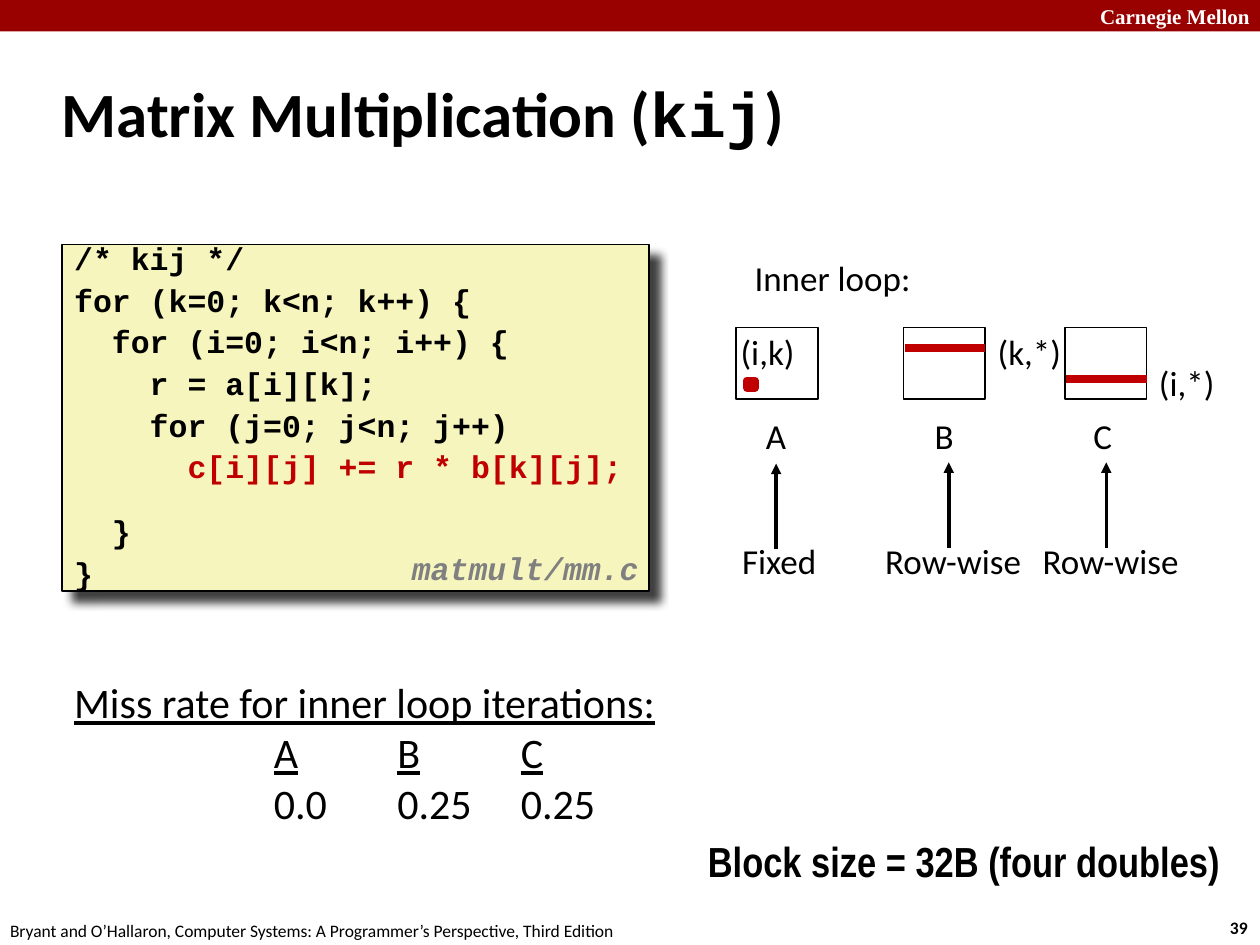
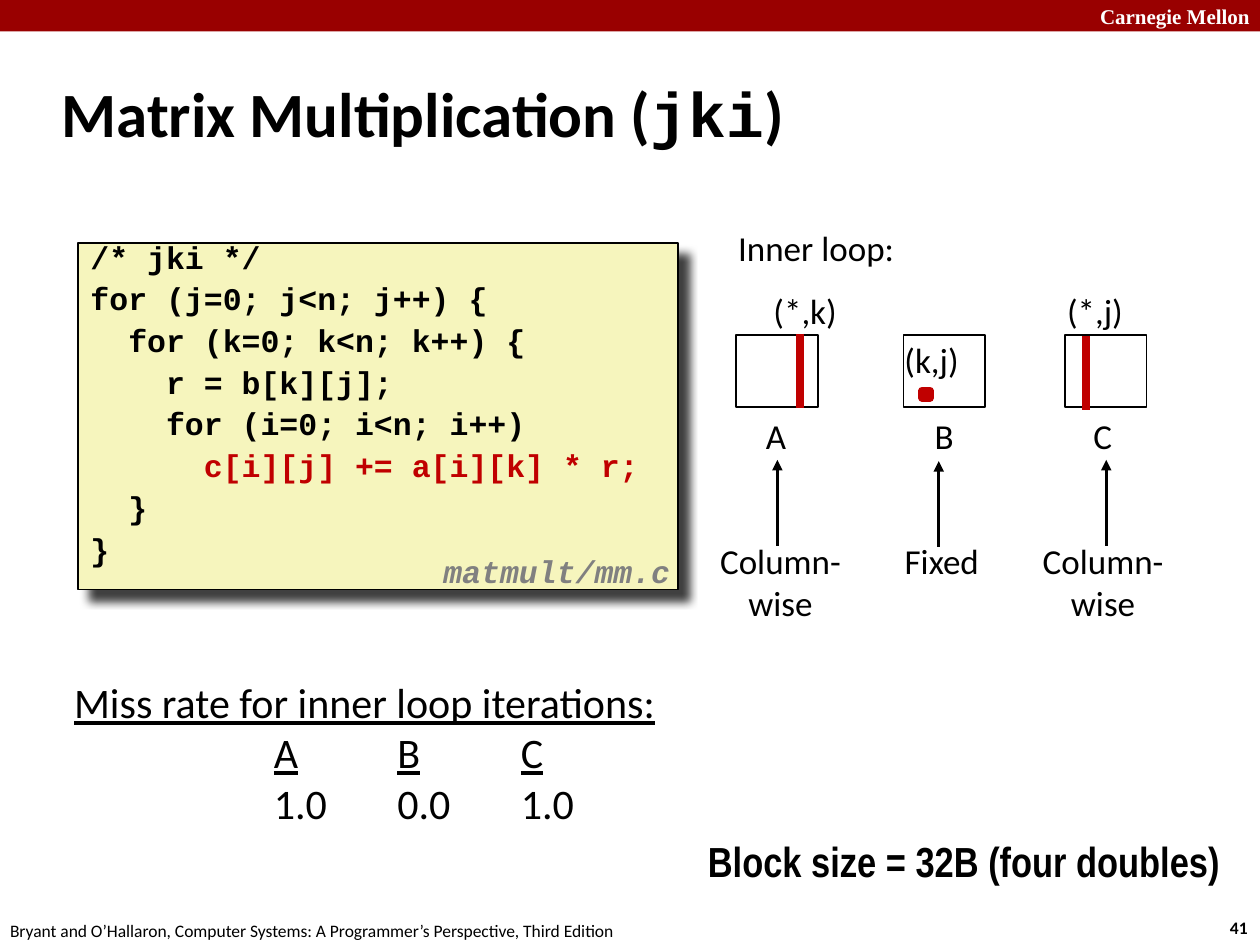
from dataclasses import dataclass, replace
from typing import NamedTuple

from lxml.etree import SubElement
from pptx import Presentation
from pptx.dml.color import RGBColor as Rgb
from pptx.enum.shapes import MSO_CONNECTOR as Wire, MSO_SHAPE as Form
from pptx.enum.text import MSO_ANCHOR as Anchor, PP_ALIGN as Align
from pptx.oxml.ns import qn
from pptx.util import Inches, Pt

# Grid: 100 columns by 75 rows
WIDE, HIGH = Inches(10), Inches(7.5)
COL, ROW = WIDE / 100, HIGH / 75


class Style(NamedTuple):
    font: str
    size: float
    tint: str = "000000"
    bold: bool = False
    slant: bool = False
    under: bool = False


@dataclass(frozen=True)
class Theme:
    band: str = "990000"
    ink: str = "000000"
    paper: str = "FFFFFF"
    cream: str = "F6F5BD"
    red: str = "C00000"
    dot: str = "FF0000"
    head: Style = Style("Calibri", 36, bold=True)
    brand: Style = Style("Times New Roman", 12, "FFFFFF", bold=True)
    foot: Style = Style("Calibri", 10)
    page: Style = Style("Calibri", 10, bold=True)
    code: Style = Style("Courier New", 18, bold=True)
    file: Style = Style("Courier New", 18, "808080", bold=True, slant=True)
    label: Style = Style("Calibri", 20)
    rate: Style = Style("Calibri", 24)
    block: Style = Style("Arial Narrow", 24, bold=True)


LOOK = Theme()


class Run(NamedTuple):
    text: str
    style: Style


class Area(NamedTuple):
    x: float
    y: float
    w: float
    h: float


class Spot(NamedTuple):
    """Text with its left, top and width."""
    text: str
    x: float
    y: float
    w: float


class Mark(NamedTuple):
    """Red part of a matrix, offset from its corner; no width or height makes a stroke."""
    x: float
    y: float
    w: float
    h: float


class Access(NamedTuple):
    """How the inner loop walks through one matrix."""
    mark: Mark
    tag: Spot
    reach: str
    mid: float
    arrow: float
    tip: float
    rate: str


@dataclass(frozen=True)
class Topic:
    order: str
    page: int
    code: tuple[str, ...]
    gap: float
    panel: Area
    file: tuple[float, float]
    loop: tuple[float, float]
    top: float
    walks: tuple[Access, ...]


NAMES = (Spot("A", 59.8, 32.4, 3.7), Spot("B", 73.2, 32.4, 3.5), Spot("C", 85.8, 32.4, 3.5))
LEFTS = (58.4, 71.7, 84.5)
BOX_W, BOX_H = 6.5, 5.7
LABEL_H = 4.3
HOT = 5  # index of the innermost statement

TOPICS = (
    Topic(
        "kij", 39,
        ("/* kij */", "for (k=0; k<n; k++) {", "  for (i=0; i<n; i++) {",
         "    r = a[i][k];", "    for (j=0; j<n; j++)",
         "      c[i][j] += r * b[k][j];", "  }", "}"),
        13.3, Area(4.9, 19.4, 46.6, 27.5), (31.7, 43.3), (58.9, 19.9), 26,
        (Access(Mark(0.9, 4.2, 0.6, 0.6), Spot("(i,k)", 57.8, 25.7, 6.3),
                "Fixed", 61.85, 61.6, 36.8, "0.0"),
         Access(Mark(0.1, 1.6, 6.4, 0), Spot("(k,*)", 78.2, 25.7, 7.1),
                "Row-wise", 75.65, 75.3, 36.7, "0.25"),
         Access(Mark(0.1, 4.1, 6.4, 0), Spot("(i,*)", 91, 28.2, 6.4),
                "Row-wise", 88.15, 87.8, 36.7, "0.25")),
    ),
    Topic(
        "jki", 41,
        ("/* jki */", "for (j=0; j<n; j++) {", "  for (k=0; k<n; k++) {",
         "    r = b[k][j];", "    for (i=0; i<n; i++)",
         "      c[i][j] += a[i][k] * r;", "  }", "}"),
        0, Area(6.2, 19.3, 47.6, 27.5), (34.2, 43.6), (57.6, 17.5), 26.6,
        (Access(Mark(5.1, -0.1, 0, 5.9), Spot("(*,k)", 60.4, 22.5, 7.1),
                "Column-\nwise", 61.95, 61.7, 36.5, "1.0"),
         Access(Mark(1.5, 4.4, 0.6, 0.6), Spot("(k,j)", 70.8, 26.4, 6.3),
                "Fixed", 74.75, 74.5, 36.6, "0.0"),
         Access(Mark(1.7, 0.1, 0, 5.8), Spot("(*,j)", 83.7, 22.5, 6.5),
                "Column-\nwise", 87.55, 87.8, 36.5, "1.0")),
    ),
)


# Drawing tools
def place(area: Area) -> tuple[int, int, int, int]:
    return (round(area.x * COL), round(area.y * ROW),
            round(area.w * COL), round(area.h * ROW))


def write(frame, lines: list[list[Run]], align=Align.LEFT) -> list:
    paras = []
    for num, line in enumerate(lines):
        para = frame.add_paragraph() if num else frame.paragraphs[0]
        para.alignment = align
        for text, style in line:
            run = para.add_run()
            run.text = text
            font = run.font
            font.name, font.size = style.font, Pt(style.size)
            font.bold, font.italic, font.underline = style.bold, style.slant, style.under
            font.color.rgb = Rgb.from_string(style.tint)
        paras.append(para)
    return paras


def put_text(slide, area: Area, lines: list[list[Run]], align=Align.LEFT,
             anchor=Anchor.TOP, wrap: bool = True, side: float = 0.1) -> list:
    frame = slide.shapes.add_textbox(*place(area)).text_frame
    frame.word_wrap, frame.vertical_anchor = wrap, anchor
    frame.margin_left = frame.margin_right = Inches(side)
    return write(frame, lines, align)


def put_label(slide, spot: Spot, style: Style = LOOK.label, align=Align.LEFT) -> list:
    lines = [[Run(part, style)] for part in spot.text.split("\n")]
    area = Area(spot.x, spot.y, spot.w, LABEL_H + 3.4 * (len(lines) - 1))
    return put_text(slide, area, lines, align, wrap=False)


def put_rect(slide, area: Area, fill: str, line: str = "", width: float = 1):
    rect = slide.shapes.add_shape(Form.RECTANGLE, *place(area))
    rect.shadow.inherit = False
    rect.fill.solid()
    rect.fill.fore_color.rgb = Rgb.from_string(fill)
    if line:
        rect.line.color.rgb = Rgb.from_string(line)
        rect.line.width = Pt(width)
    else:
        rect.line.fill.background()
    return rect


def put_line(slide, area: Area, tint: str, width: float, arrow: bool = False) -> None:
    x, y, w, h = place(area)
    line = slide.shapes.add_connector(Wire.STRAIGHT, x, y, x + w, y + h)
    line.line.color.rgb = Rgb.from_string(tint)
    line.line.width = Pt(width)
    if arrow:
        SubElement(line.line._get_or_add_ln(), qn("a:headEnd"), type="triangle")
    SubElement(line._element.spPr, qn("a:effectLst"))


def cast_shade(shape) -> None:
    list_ = shape._element.spPr.find(qn("a:effectLst"))
    shade = SubElement(list_, qn("a:outerShdw"), blurRad=str(Pt(5)), dist=str(Pt(8.5)),
                       dir="2700000", algn="tl", rotWithShape="0")
    tint = SubElement(shade, qn("a:srgbClr"), val=LOOK.ink)
    SubElement(tint, qn("a:alpha"), val="75000")


def set_tabs(para, stops: tuple[float, ...]) -> None:
    tabs = SubElement(para._p.get_or_add_pPr(), qn("a:tabLst"))
    for stop in stops:
        SubElement(tabs, qn("a:tab"), pos=str(round(stop * COL)), algn="l")


# Parts of a slide
def draw_frame(slide, topic: Topic) -> None:
    put_rect(slide, Area(0, 0, 100, 2.5), LOOK.band)
    put_text(slide, Area(80, 0, 20, 2.5), [[Run("Carnegie Mellon", LOOK.brand)]],
             Align.RIGHT, Anchor.MIDDLE, side=0.08)
    put_text(slide, Area(95, 72.3, 5, 2.7), [[Run(str(topic.page), LOOK.page)]], Align.RIGHT)
    book = "Bryant and O’Hallaron, Computer Systems: A Programmer’s Perspective, Third Edition"
    put_text(slide, Area(0, 72.5, 60, 2.5), [[Run(book, LOOK.foot)]], side=0.08)
    mono = replace_font(LOOK.head, LOOK.code.font)
    put_text(slide, Area(3.9, 4.8, 83, 8.3),
             [[Run("Matrix Multiplication (", LOOK.head), Run(topic.order, mono),
               Run(")", LOOK.head)]], anchor=Anchor.MIDDLE)


def replace_font(style: Style, font: str) -> Style:
    return style._replace(font=font)


def draw_code(slide, topic: Topic) -> None:
    panel = put_rect(slide, topic.panel, LOOK.cream, LOOK.ink)
    cast_shade(panel)
    frame = panel.text_frame
    frame.word_wrap, frame.vertical_anchor = True, Anchor.TOP
    hot = LOOK.code._replace(tint=LOOK.red)
    lines = [[Run(text, hot if num == HOT else LOOK.code)]
             for num, text in enumerate(topic.code)]
    for num, para in enumerate(write(frame, lines)):
        para.line_spacing = 0.65
        if num:
            para.space_before = Pt(9.8 + (topic.gap if num == HOT + 1 else 0))
    put_label(slide, Spot("matmult/mm.c", *topic.file, 20.8), LOOK.file)[0].line_spacing = 0.94


def draw_loop(slide, topic: Topic) -> None:
    put_label(slide, Spot("Inner loop:", *topic.loop, 14.5))
    for left, name in zip(LEFTS, NAMES):
        put_rect(slide, Area(left, topic.top, BOX_W, BOX_H), LOOK.paper, LOOK.ink)
        put_label(slide, name)
    for left, walk in zip(LEFTS, topic.walks):
        mark = walk.mark
        area = Area(left + mark.x, topic.top + mark.y, mark.w, mark.h)
        if mark.w and mark.h:
            put_rect(slide, area, LOOK.dot, LOOK.red, 4.5)
        else:
            put_line(slide, area, LOOK.red, 4.5)
        put_label(slide, walk.tag)
        put_label(slide, Spot(walk.reach, walk.mid - 6.5, 42.3, 13), align=Align.CENTER)
        put_line(slide, Area(walk.arrow, walk.tip, 0, 6.8), LOOK.ink, 2, arrow=True)


def draw_rates(slide, topic: Topic) -> None:
    plain, under = LOOK.rate, LOOK.rate._replace(under=True)
    names, rates = [], []
    for name, walk in zip(NAMES, topic.walks):
        names += [Run("\t", plain), Run(name.text, under)]
        rates += [Run("\t", plain), Run(walk.rate, plain)]
    paras = put_text(slide, Area(4.9, 53.2, 60, 13.4),
                     [[Run("Miss rate for inner loop iterations:", under)], names, rates])
    for para in paras[1:]:
        set_tabs(para, tuple(15.85 + 9.8 * num for num in range(len(NAMES))))
    put_text(slide, Area(55.2, 65.8, 44, 5),
             [[Run("Block size = 32B (four doubles)", LOOK.block)]])


def main() -> None:
    deck = Presentation()
    deck.slide_width, deck.slide_height = WIDE, HIGH
    for topic in TOPICS:
        slide = deck.slides.add_slide(deck.slide_layouts[6])
        for draw in (draw_frame, draw_code, draw_loop, draw_rates):
            draw(slide, topic)
    deck.save("out.pptx")


if __name__ == "__main__":
    main()
